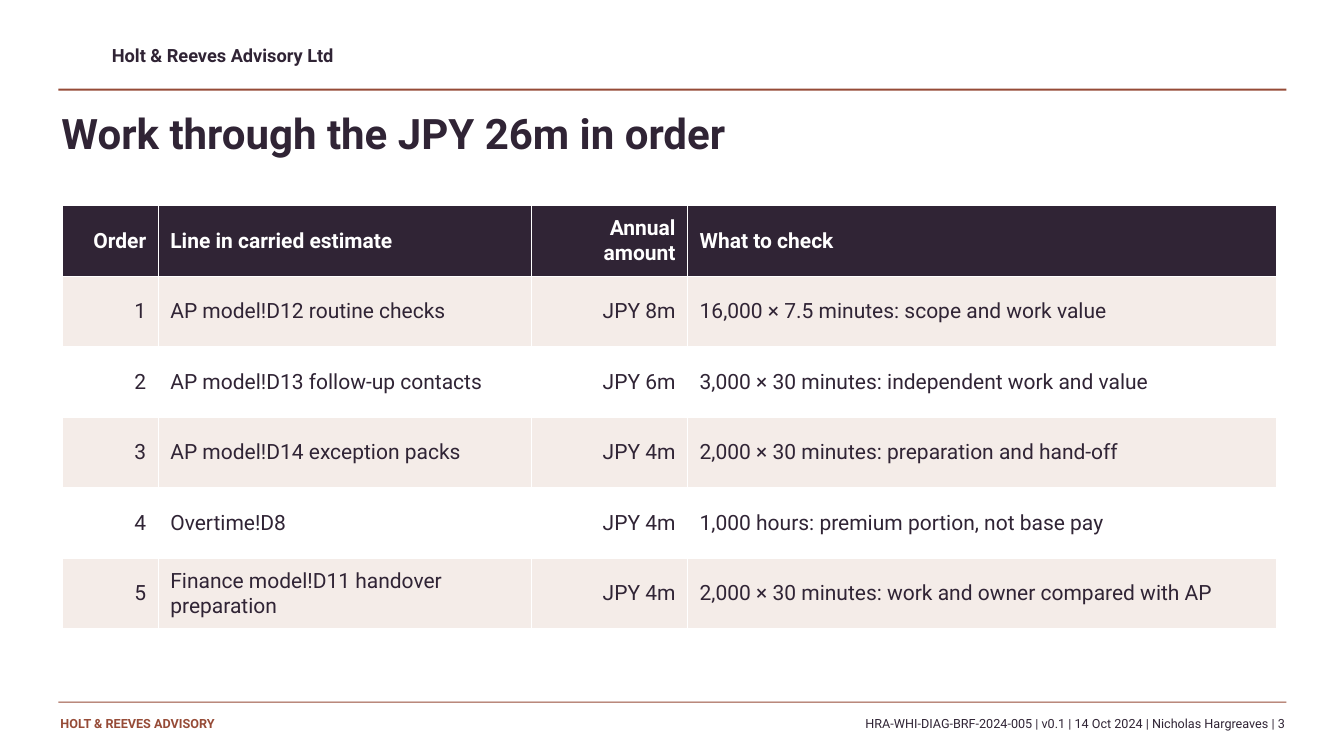
"""Build the slide listing the order in which to check the JPY 26m estimate."""
from pptx import Presentation
from pptx import util as u
from pptx.dml.color import RGBColor
from pptx.enum import shapes, text

FONT = "Roboto"
COLORS = {"ink": "302435", "rust": "964B37", "tint": "F4ECE8", "white": "FFFFFF"}
LEFT, RIGHT = text.PP_ALIGN.LEFT, text.PP_ALIGN.RIGHT
COL_WIDTHS = [0.95, 3.7, 1.55, 5.84]
COL_ALIGNS = [RIGHT, LEFT, RIGHT, LEFT]
ROW_HEIGHT = 0.7
ROWS = [
    ("Order", "Line in carried estimate", "Annual amount", "What to check"),
    ("1", "AP model!D12 routine checks", "JPY 8m",
     "16,000 × 7.5 minutes: scope and work value"),
    ("2", "AP model!D13 follow-up contacts", "JPY 6m",
     "3,000 × 30 minutes: independent work and value"),
    ("3", "AP model!D14 exception packs", "JPY 4m",
     "2,000 × 30 minutes: preparation and hand-off"),
    ("4", "Overtime!D8", "JPY 4m",
     "1,000 hours: premium portion, not base pay"),
    ("5", "Finance model!D11 handover preparation", "JPY 4m",
     "2,000 × 30 minutes: work and owner compared with AP"),
]


def rgb(name):
    return RGBColor.from_string(COLORS[name])


def write(tf, words, size, color="ink", bold=False, align=LEFT):
    tf.text = words
    p = tf.paragraphs[0]
    p.alignment = align
    p.font.name, p.font.size, p.font.bold = FONT, u.Pt(size), bold
    p.font.color.rgb = rgb(color)


def clear_frame(tf):
    tf.word_wrap = True
    tf.auto_size = text.MSO_AUTO_SIZE.NONE
    tf.vertical_anchor = text.MSO_ANCHOR.TOP
    tf.margin_left = tf.margin_right = tf.margin_top = tf.margin_bottom = 0


def add_title(s, box, words):
    sp = s.shapes.title
    sp.left, sp.top, sp.width, sp.height = map(u.Inches, box)
    clear_frame(sp.text_frame)
    write(sp.text_frame, words, 30, bold=True)


def add_label(s, box, words, size, **style):
    tf = s.shapes.add_textbox(*map(u.Inches, box)).text_frame
    clear_frame(tf)
    write(tf, words, size, **style)


def add_rule(s, top, height):
    box = (0.58, top, 12.18, height)
    sp = s.shapes.add_shape(shapes.MSO_SHAPE.RECTANGLE, *map(u.Inches, box))
    sp.shadow.inherit = False
    sp.fill.solid()
    sp.fill.fore_color.rgb = rgb("rust")
    sp.line.fill.background()


def fill_cell(cell, words, row, align):
    header = row == 0
    fill = "ink" if header else "tint" if row % 2 else "white"
    cell.fill.solid()
    cell.fill.fore_color.rgb = rgb(fill)
    cell.vertical_anchor = text.MSO_ANCHOR.MIDDLE
    cell.margin_left = cell.margin_right = u.Inches(0.12)
    cell.margin_top = cell.margin_bottom = u.Inches(0.05)
    write(cell.text_frame, words, 15, "white" if header else "ink", header, align)


def add_checks_table(s, left, top):
    box = (left, top, sum(COL_WIDTHS), ROW_HEIGHT * len(ROWS))
    table = s.shapes.add_table(len(ROWS), len(COL_WIDTHS), *map(u.Inches, box)).table
    for column, width in zip(table.columns, COL_WIDTHS):
        column.width = u.Inches(width)
    for i, row in enumerate(ROWS):
        table.rows[i].height = u.Inches(ROW_HEIGHT)
        for j, words in enumerate(row):
            fill_cell(table.cell(i, j), words, i, COL_ALIGNS[j])


def main():
    prs = Presentation()
    prs.slide_width, prs.slide_height = u.Inches(13.33), u.Inches(7.5)
    s = prs.slides.add_slide(prs.slide_layouts[5])
    add_label(s, (1.11, 0.44, 6, 0.27), "Holt & Reeves Advisory Ltd", 13, bold=True)
    add_rule(s, 0.88, 0.02)
    add_rule(s, 6.96, 0.01)
    add_title(s, (0.61, 1.07, 12, 0.78), "Work through the JPY 26m in order")
    add_checks_table(s, 0.62, 2.04)
    add_label(s, (0.6, 7.1, 3.4, 0.25), "HOLT & REEVES ADVISORY", 9,
              color="rust", bold=True)
    add_label(s, (4.12, 7.1, 8.62, 0.2),
              "HRA-WHI-DIAG-BRF-2024-005 | v0.1 | 14 Oct 2024 | Nicholas Hargreaves | 3",
              9, align=RIGHT)
    prs.save("out.pptx")


if __name__ == "__main__":
    main()
